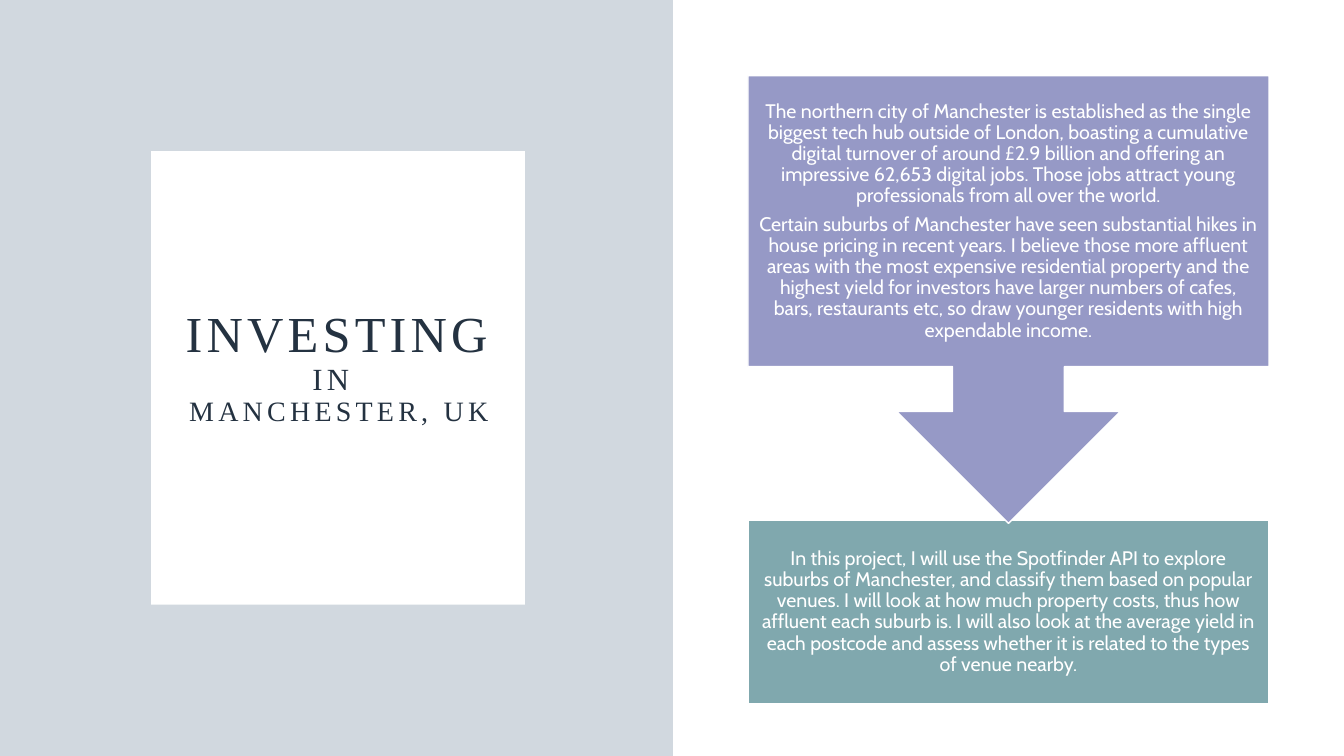
from lxml import etree
from pptx import Presentation
from pptx import util as u
from pptx.dml.color import RGBColor
from pptx.enum import shapes, text
from pptx.oxml.ns import qn

COLOURS = {
    "white": "FFFFFF",
    "slate": "486583",
    "navy": "243241",
    "lavender": "9699C6",
    "teal": "80A8AE",
}

MARKET = [
    "The northern city of Manchester is established as the single biggest tech hub "
    "outside of London, boasting a cumulative digital turnover of around £2.9 billion "
    "and offering an impressive 62,653 digital jobs. Those jobs attract young "
    "professionals from all over the world.",
    "Certain suburbs of Manchester have seen substantial hikes in house pricing in "
    "recent years. I believe those more affluent areas with the most expensive "
    "residential property and the highest yield for investors have larger numbers of "
    "cafes, bars, restaurants etc, so draw younger residents with high expendable income.",
]
PROJECT = [
    "In this project, I will use the Spotfinder API to explore suburbs of Manchester, "
    "and classify them based on popular venues. I will look at how much property costs, "
    "thus how affluent each suburb is. I will also look at the average yield in each "
    "postcode and assess whether it is related to the types of venue nearby.",
]


def rgb(name):
    return RGBColor.from_string(COLOURS[name])


class Deck:
    title_font = "Times New Roman"
    body_font = "Cabin"
    body_size = 14
    line_spacing = 0.9

    def __init__(self, width, height):
        self.prs = Presentation()
        self.prs.slide_width, self.prs.slide_height = u.Cm(width), u.Cm(height)
        self.slide = None

    def new_slide(self):
        self.slide = self.prs.slides.add_slide(self.prs.slide_layouts[5])

    def block(self, box, fill, kind=shapes.MSO_SHAPE.RECTANGLE, outline=None, alpha=None):
        """Add a filled preset shape; alpha is its opacity in percent."""
        shape = self.slide.shapes.add_shape(kind, *map(u.Cm, box))
        shape.shadow.inherit = False
        shape.fill.solid()
        shape.fill.fore_color.rgb = rgb(fill)
        if alpha is not None:
            colour = shape.fill._xPr.find(qn("a:solidFill"))[0]
            etree.SubElement(colour, qn("a:alpha"), val=str(alpha * 1000))
        if outline:
            shape.line.color.rgb = rgb(outline)
            shape.line.width = u.Pt(1)
        else:
            shape.line.fill.background()
        return shape

    def text_block(self, box, fill, paragraphs, kind=shapes.MSO_SHAPE.RECTANGLE):
        frame = self.block(box, fill, kind, outline="white").text_frame
        frame.word_wrap = True
        frame.vertical_anchor = text.MSO_ANCHOR.MIDDLE
        frame.margin_left = frame.margin_right = u.Cm(0.27)
        frame.margin_top = frame.margin_bottom = u.Cm(0.27)
        for index, wording in enumerate(paragraphs):
            paragraph = frame.add_paragraph() if index else frame.paragraphs[0]
            self.centre(paragraph)
            paragraph.space_after = u.Pt(5)
            self.run(paragraph, wording, self.body_font, self.body_size, "white")

    def title(self, box, lines):
        """Fill the title from (wording, size, break before) entries, above the shapes so far."""
        title = self.slide.shapes.title
        self.slide.shapes._spTree.append(title._element)
        title.left, title.top, title.width, title.height = map(u.Cm, box)
        frame = title.text_frame
        frame.word_wrap = True
        frame.auto_size = text.MSO_AUTO_SIZE.NONE
        frame.vertical_anchor = text.MSO_ANCHOR.MIDDLE
        paragraph = frame.paragraphs[0]
        self.centre(paragraph)
        for wording, size, starts_line in lines:
            if starts_line:
                paragraph.add_line_break()
            run = self.run(paragraph, wording, self.title_font, size, "navy")
            run.font._element.set("spc", "300")

    def centre(self, paragraph):
        paragraph.alignment = text.PP_ALIGN.CENTER
        paragraph.line_spacing = self.line_spacing

    def run(self, paragraph, wording, font, size, colour):
        run = paragraph.add_run()
        run.text = wording
        run.font.name = font
        run.font.size = u.Pt(size)
        run.font.color.rgb = rgb(colour)
        return run


def main():
    deck = Deck(33.87, 19.05)
    deck.new_slide()
    deck.block((0, 0, 16.96, 19.05), "slate", alpha=25)
    deck.block((3.81, 3.81, 9.42, 11.43), "white")
    deck.title(
        (4.22, 4.93, 8.64, 8.69),
        [("INVESTING", 36, False), (" IN ", 22, False), ("MANCHESTER, UK", 20, True)],
    )
    deck.text_block((18.85, 13.11, 13.13, 4.62), "teal", PROJECT)
    deck.text_block(
        (18.85, 1.91, 13.13, 11.28), "lavender", MARKET,
        shapes.MSO_SHAPE.DOWN_ARROW_CALLOUT,
    )
    deck.prs.save("out.pptx")


if __name__ == "__main__":
    main()
